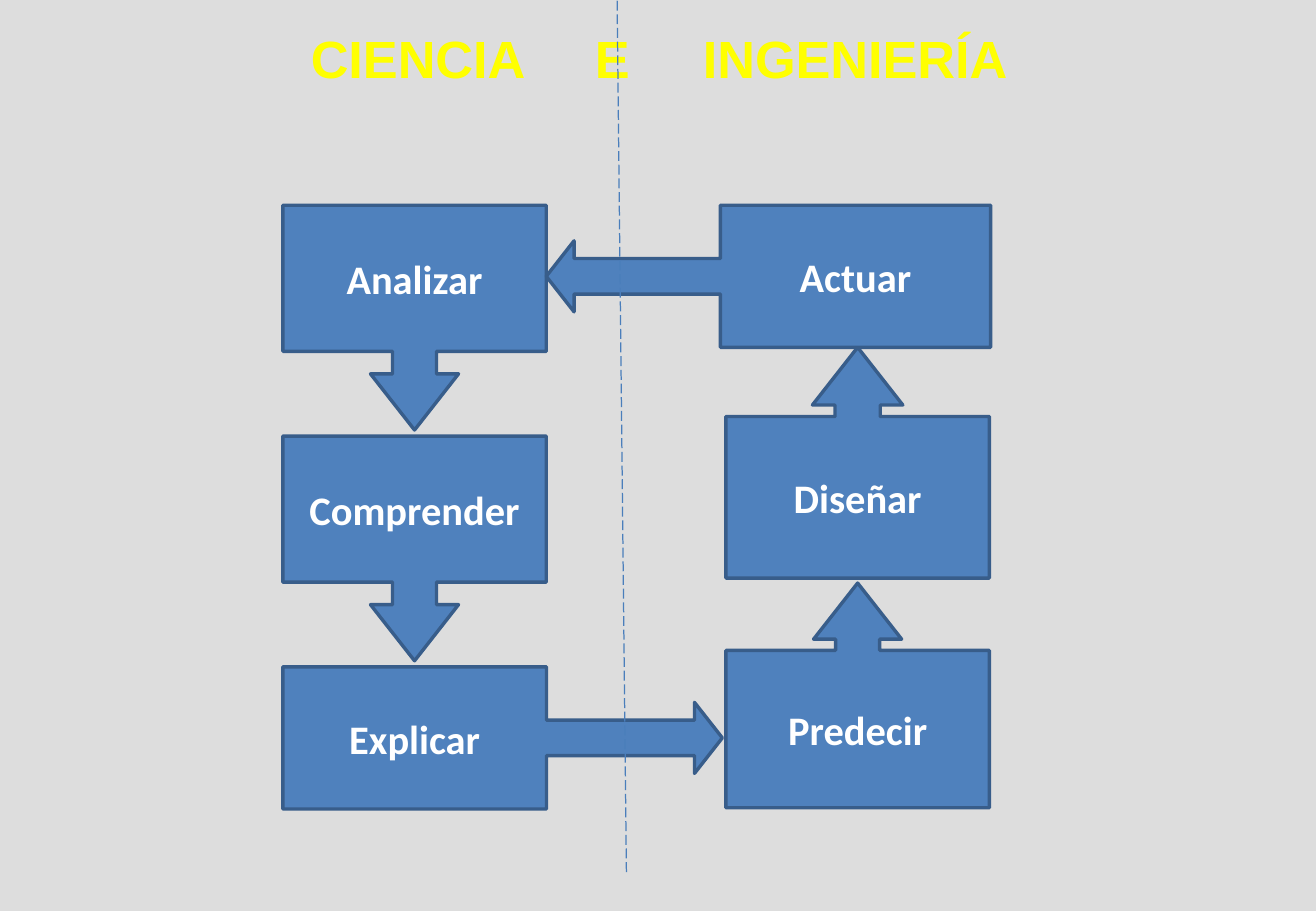
from lxml.etree import SubElement
from pptx import Presentation
from pptx.dml.color import RGBColor
from pptx.enum.dml import MSO_LINE
from pptx.enum.shapes import MSO_CONNECTOR, MSO_SHAPE
from pptx.enum.text import MSO_ANCHOR, MSO_AUTO_SIZE, PP_ALIGN
from pptx.oxml.ns import qn
from pptx.util import Inches, Pt

BACKGROUND = RGBColor(0xDD, 0xDD, 0xDD)
YELLOW = RGBColor(0xFF, 0xFF, 0x00)
WHITE = RGBColor(0xFF, 0xFF, 0xFF)
BLUE = RGBColor(0x4F, 0x81, 0xBD)
DARK_BLUE = RGBColor(0x38, 0x5D, 0x8A)
DIVIDER_BLUE = RGBColor(0x4A, 0x7E, 0xBB)

TITLE = "CIENCIA\tE\tINGENIERÍA"
TITLE_TABS = [2.34, 3.23]

LEFT, RIGHT, TOP, BOTTOM = 2.33, 5.98, 1.69, 5.49
BOX_WIDTH, STEP_HEIGHT, BRIDGE_HEIGHT = 2.17, 1.85, 1.17
SCIENCE_STEP = (BOTTOM - TOP) / 2
DOWN = (MSO_SHAPE.DOWN_ARROW_CALLOUT, (0.196, 0.196, 0.25, 0.65))
UP = (MSO_SHAPE.UP_ARROW_CALLOUT, (0.196, 0.196, 0.25, 0.7))
TO_RIGHT = (MSO_SHAPE.RIGHT_ARROW_CALLOUT, (0.25, 0.25, 0.196, 0.6))
TO_LEFT = (MSO_SHAPE.LEFT_ARROW_CALLOUT, (0.25, 0.25, 0.196, 0.608))

# text, callout, left, top, width, height
STAGES = [
    ("Analizar", DOWN, LEFT, TOP, BOX_WIDTH, STEP_HEIGHT),
    ("Comprender", DOWN, LEFT, TOP + SCIENCE_STEP, BOX_WIDTH, STEP_HEIGHT),
    ("Explicar", TO_RIGHT, LEFT, BOTTOM, 3.62, BRIDGE_HEIGHT),
    ("Predecir", UP, RIGHT, 4.8, BOX_WIDTH, STEP_HEIGHT),
    ("Diseñar", UP, RIGHT, TOP + BRIDGE_HEIGHT, BOX_WIDTH, 1.9),
    ("Actuar", TO_LEFT, LEFT + BOX_WIDTH, TOP, 3.66, BRIDGE_HEIGHT),
]


def write(shape, text, *, size, font, color, align=PP_ALIGN.CENTER,
          insets=(0.1, 0.05, 0.1, 0.05), tabs=()):
    frame = shape.text_frame
    frame.word_wrap = True
    frame.auto_size = MSO_AUTO_SIZE.NONE
    frame.vertical_anchor = MSO_ANCHOR.MIDDLE
    (frame.margin_left, frame.margin_top,
     frame.margin_right, frame.margin_bottom) = map(Inches, insets)
    paragraph = frame.paragraphs[0]
    paragraph.alignment = align
    if tabs:
        tab_list = SubElement(paragraph._p.get_or_add_pPr(), qn("a:tabLst"))
        for position in tabs:
            SubElement(tab_list, qn("a:tab"), pos=str(Inches(position)), algn="l")
    run = paragraph.add_run()
    run.text = text
    run.font.size = Pt(size)
    run.font.name = font
    run.font.bold = True
    run.font.color.rgb = color


def add_stage(slide, text, callout, *box):
    preset, adjustments = callout
    shape = slide.shapes.add_shape(preset, *map(Inches, box))
    shape.shadow.inherit = False
    for index, value in enumerate(adjustments):
        shape.adjustments[index] = value
    shape.fill.solid()
    shape.fill.fore_color.rgb = BLUE
    shape.line.color.rgb = DARK_BLUE
    shape.line.width = Pt(2)
    write(shape, text, size=24, font="Calibri", color=WHITE)


def add_divider(slide):
    divider = slide.shapes.add_connector(
        MSO_CONNECTOR.STRAIGHT, *map(Inches, (5.16, 7.18, 5.08, -0.32)))
    divider.line.color.rgb = DIVIDER_BLUE
    divider.line.width = Pt(0.75)
    divider.line.dash_style = MSO_LINE.LONG_DASH
    SubElement(divider._element.spPr, qn("a:effectLst"))


def main():
    presentation = Presentation()
    presentation.slide_width = Inches(10.84)
    presentation.slide_height = Inches(7.5)
    slide = presentation.slides.add_slide(presentation.slide_layouts[5])
    slide.background.fill.solid()
    slide.background.fill.fore_color.rgb = BACKGROUND

    title = slide.shapes.title
    title.left, title.top, title.width, title.height = map(
        Inches, (1.15, -0.14, 8.61, 1.23))
    write(title, TITLE, size=31, font="Arial", color=YELLOW, align=PP_ALIGN.LEFT,
          insets=(1.41, 0.06, 0.11, 0.06), tabs=TITLE_TABS)

    for stage in STAGES:
        add_stage(slide, *stage)
    add_divider(slide)
    presentation.save("out.pptx")


if __name__ == "__main__":
    main()
